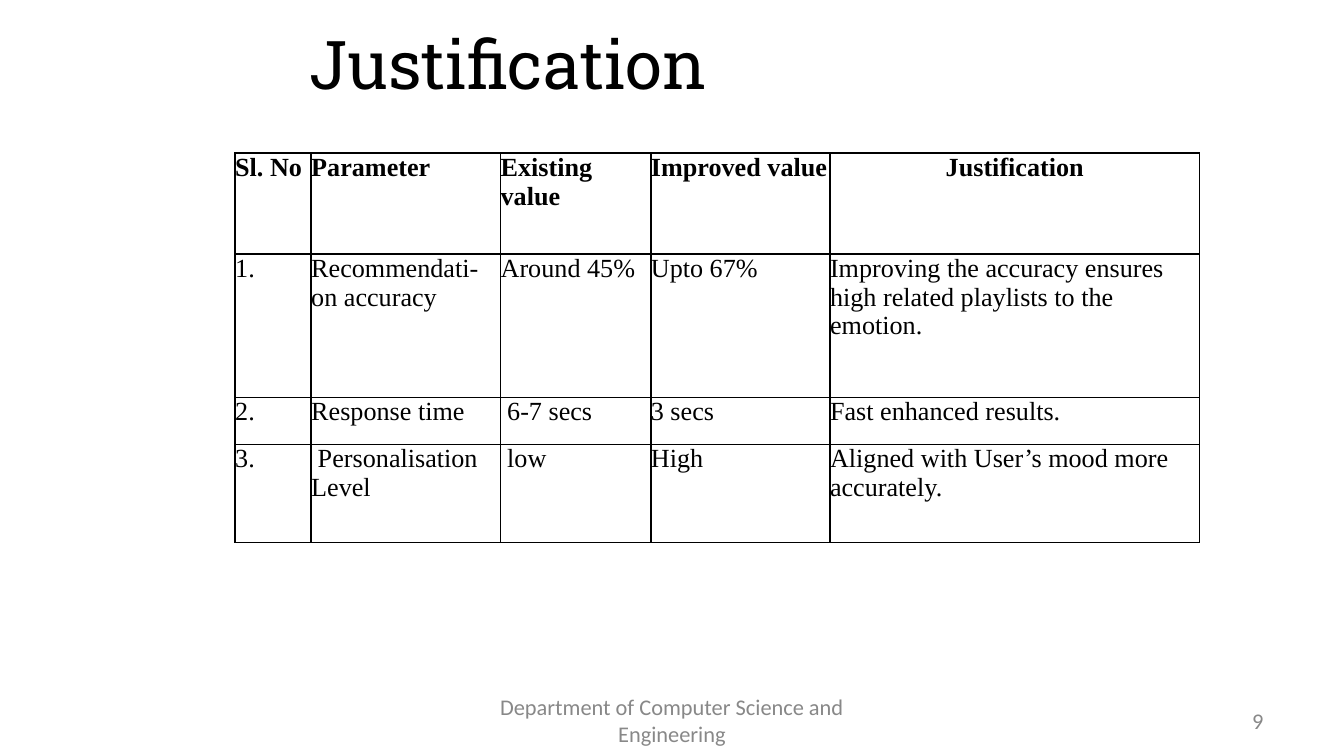
from lxml.etree import SubElement
from pptx import Presentation
from pptx.dml.color import RGBColor
from pptx.enum.text import MSO_ANCHOR, PP_ALIGN
from pptx.oxml.ns import qn
from pptx.util import Pt

TITLE = {"name": "Roboto Slab", "size": Pt(36), "color": "000000"}
FOOTER = {"name": "Calibri", "size": Pt(12), "color": "888888"}
CELL = {"name": "Times New Roman", "size": Pt(14), "color": "000000", "bold": False}
HEADER = {**CELL, "bold": True}

COLUMN_WIDTHS = [40.75, 101.5, 80.5, 96, 198]
ROW_HEIGHTS = [54, 77, 25.25, 52.5]
ROWS = [
    ["Sl. No", "Parameter", "Existing value", "Improved value", "Justification"],
    ["1.", "Recommendati-on accuracy", "Around 45%", "Upto 67%",
     "Improving the accuracy ensures high related playlists to the emotion."],
    ["2.", "Response time", " 6-7 secs", "3 secs", "Fast enhanced results."],
    ["3.", " Personalisation Level", " low", "High",
     "Aligned with User’s mood more accurately."],
]


def rgb(value):
    return RGBColor.from_string(value)


class SlideBuilder:
    def __init__(self, slide, border_color="000000", border_width=1):
        self.slide = slide
        self.border_color = border_color
        self.border_width = border_width

    def fill_text(self, text_frame, text, style, alignment):
        """Fill the frame's first paragraph with one formatted run."""
        paragraph = text_frame.paragraphs[0]
        paragraph.alignment = alignment
        run = paragraph.add_run()
        run.text = text
        for attribute, value in style.items():
            if attribute == "color":
                run.font.color.rgb = rgb(value)
            else:
                setattr(run.font, attribute, value)

    def text(self, text, left, top, width, height, style, alignment=PP_ALIGN.CENTER):
        shape = self.slide.shapes.add_textbox(Pt(left), Pt(top), Pt(width), Pt(height))
        shape.text_frame.word_wrap = True
        shape.text_frame.vertical_anchor = MSO_ANCHOR.MIDDLE
        self.fill_text(shape.text_frame, text, style, alignment)

    def border(self, cell):
        properties = cell._tc.get_or_add_tcPr()
        for position, side in enumerate(("a:lnL", "a:lnR", "a:lnT", "a:lnB")):
            line = SubElement(properties, qn(side), w=str(Pt(self.border_width)))
            fill = SubElement(line, qn("a:solidFill"))
            SubElement(fill, qn("a:srgbClr"), val=self.border_color)
            properties.remove(line)
            properties.insert(position, line)

    def table(self, rows, left, top, column_widths, row_heights):
        table = self.slide.shapes.add_table(
            len(rows), len(column_widths), Pt(left), Pt(top),
            Pt(sum(column_widths)), Pt(sum(row_heights))).table
        table.horz_banding = False
        for column, width in zip(table.columns, column_widths):
            column.width = Pt(width)
        for row, height in zip(table.rows, row_heights):
            row.height = Pt(height)
        for row_index, texts in enumerate(rows):
            is_header = row_index == 0
            for column_index, text in enumerate(texts):
                cell = table.cell(row_index, column_index)
                cell.fill.background()
                for side in ("left", "right", "top", "bottom"):
                    setattr(cell, f"margin_{side}", 0)
                centred = is_header and column_index == len(texts) - 1
                self.fill_text(cell.text_frame, text, HEADER if is_header else CELL,
                               PP_ALIGN.CENTER if centred else PP_ALIGN.LEFT)
                self.border(cell)


def main():
    presentation = Presentation()
    presentation.slide_width = Pt(720)
    presentation.slide_height = Pt(405)
    builder = SlideBuilder(presentation.slides.add_slide(presentation.slide_layouts[6]))
    builder.text("9", 516, 375, 168, 21.5, FOOTER, PP_ALIGN.RIGHT)
    builder.text("Justification", 31.5, 9, 481.5, 49.5, TITLE)
    builder.text("Department of Computer Science and Engineering",
                 246, 375, 228, 21.5, FOOTER)
    builder.table(ROWS, 126, 82, COLUMN_WIDTHS, ROW_HEIGHTS)
    presentation.save("out.pptx")


if __name__ == "__main__":
    main()
